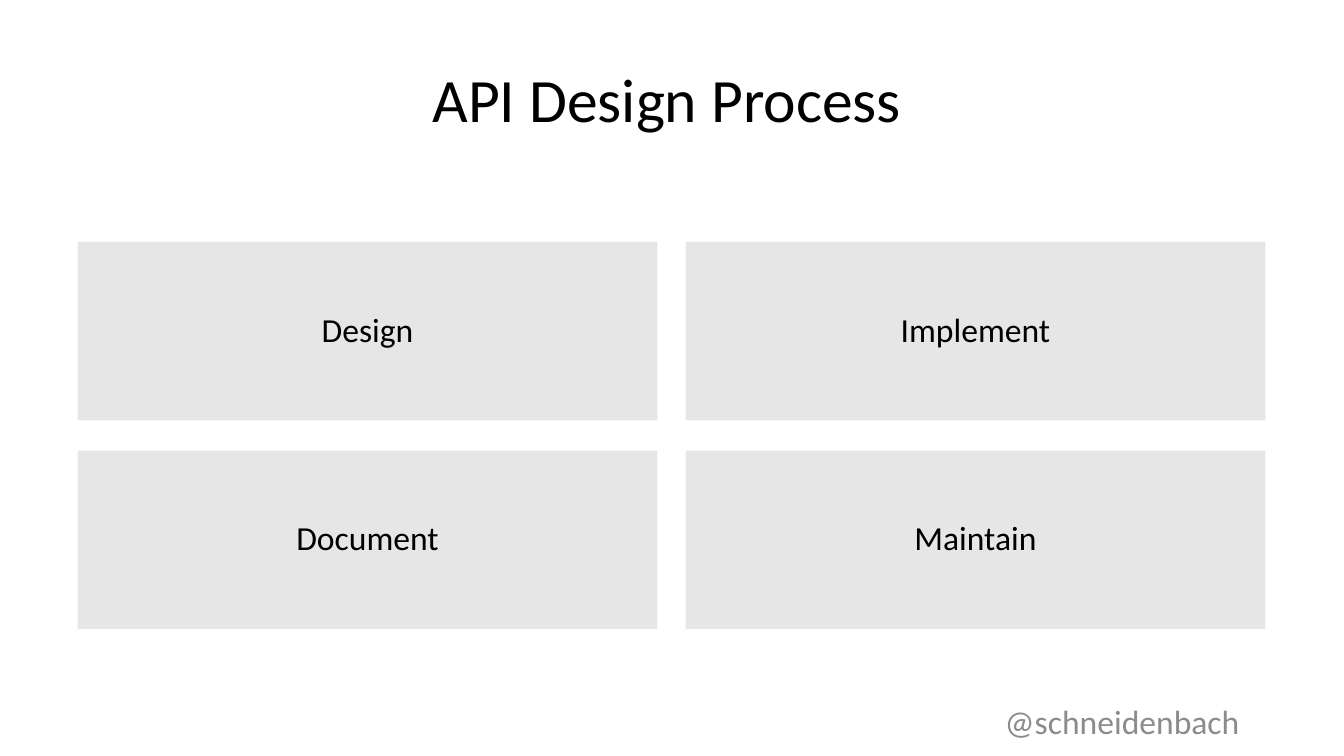
"""Builds the API Design Process slide with its grid of four steps."""
from dataclasses import dataclass

import pptx
import pptx.dml.color
import pptx.enum.shapes
import pptx.enum.text
import pptx.shapes.autoshape
import pptx.slide
import pptx.util

SCALE = 9144
LEFT, TOP = 77, 240
WIDTH, HEIGHT = 575, 177
STEP_X, STEP_Y = 603, 207
STEPS = (("Design", "Implement"), ("Document", "Maintain"))


@dataclass(frozen=True)
class Label:
    text: str
    left: int
    top: int
    width: int
    height: int
    size: int = 24
    color: str = "000000"
    fill: str | None = None
    middle: bool = True
    insets: tuple[int, int, int, int] = (10, 5, 10, 5)
    line: float = 1.0
    before: int = 0


def px(count: int) -> pptx.util.Emu:
    return pptx.util.Emu(count * SCALE)


def rgb(code: str) -> pptx.dml.color.RGBColor:
    return pptx.dml.color.RGBColor.from_string(code)


def write(shape: pptx.shapes.autoshape.Shape, label: Label) -> None:
    frame = shape.text_frame
    frame.word_wrap = True
    anchor = pptx.enum.text.MSO_ANCHOR
    frame.vertical_anchor = anchor.MIDDLE if label.middle else anchor.TOP
    left, top, right, bottom = map(px, label.insets)
    frame.margin_left, frame.margin_top = left, top
    frame.margin_right, frame.margin_bottom = right, bottom
    para = frame.paragraphs[0]
    para.text = label.text
    para.alignment = pptx.enum.text.PP_ALIGN.CENTER
    para.line_spacing = label.line
    para.space_before = pptx.util.Pt(label.before)
    para.font.name = "Calibri"
    para.font.size = pptx.util.Pt(label.size)
    para.font.color.rgb = rgb(label.color)


def draw(slide: pptx.slide.Slide, label: Label) -> None:
    area = [px(n) for n in (label.left, label.top, label.width, label.height)]
    if label.fill is None:
        shape = slide.shapes.add_textbox(*area)
    else:
        kind = pptx.enum.shapes.MSO_SHAPE.RECTANGLE
        shape = slide.shapes.add_shape(kind, *area)
        shape.shadow.inherit = False
        shape.fill.solid()
        shape.fill.fore_color.rgb = rgb(label.fill)
        shape.line.fill.background()
    write(shape, label)


def main() -> None:
    deck = pptx.Presentation()
    deck.slide_width, deck.slide_height = px(1333), px(750)
    slide = deck.slides.add_slide(deck.slide_layouts[6])
    draw(slide, Label("API Design Process", 77, 64, 1179, 48, size=44,
                      middle=False, insets=(0, 5, 10, 5), line=0.9))
    for row, names in enumerate(STEPS):
        for col, name in enumerate(names):
            draw(slide, Label(name, LEFT + col * STEP_X, TOP + row * STEP_Y,
                              WIDTH, HEIGHT, fill="E7E6E6",
                              insets=(30, 30, 30, 30), line=0.9, before=10))
    draw(slide, Label("@schneidenbach", 888, 695, 450, 40, color="8C8C8C"))
    deck.save("out.pptx")


if __name__ == "__main__":
    main()
